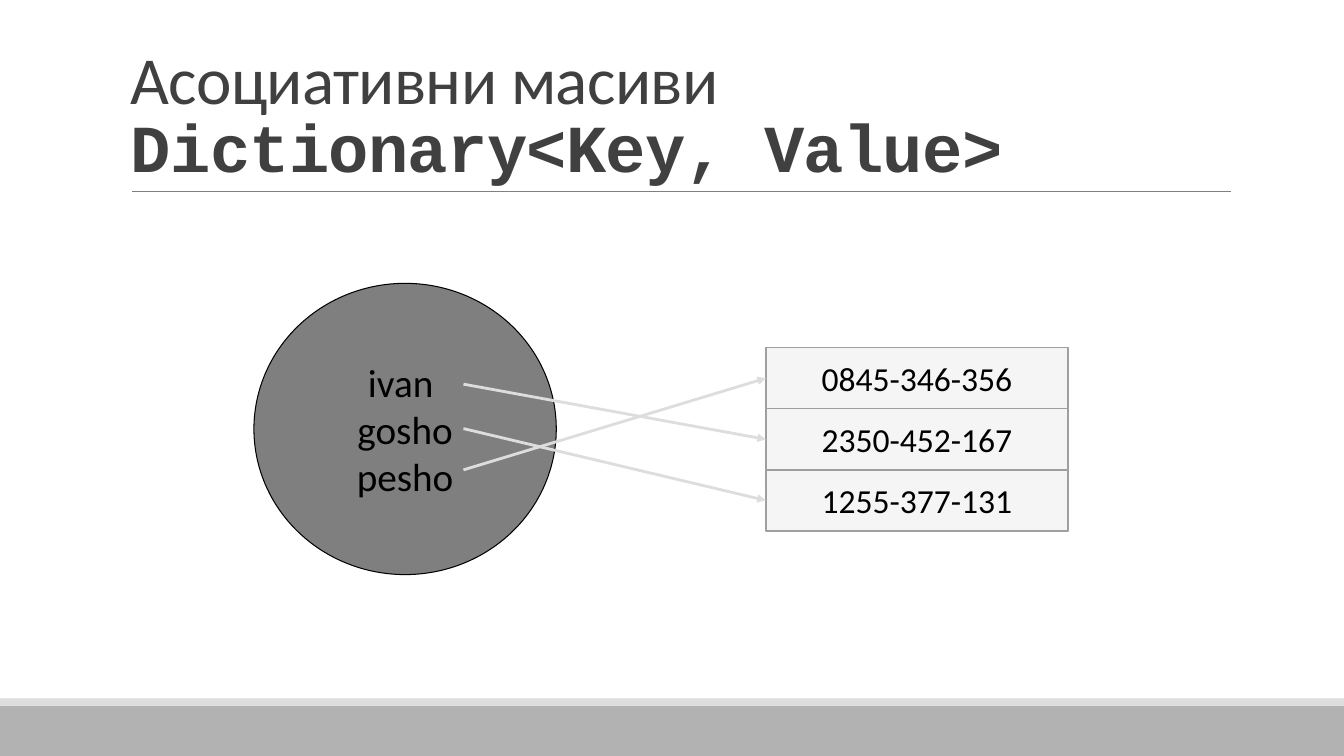
from lxml.etree import SubElement
from pptx import Presentation
from pptx.dml.color import RGBColor
from pptx.enum.shapes import MSO_CONNECTOR, MSO_SHAPE
from pptx.enum.text import MSO_ANCHOR, PP_ALIGN
from pptx.oxml.ns import qn
from pptx.util import Cm, Pt

BLACK = RGBColor(0x00, 0x00, 0x00)
TITLE_GREY = RGBColor(0x40, 0x40, 0x40)
RULE_GREY = RGBColor(0x80, 0x80, 0x80)
BORDER_GREY = RGBColor(0x9F, 0x9F, 0x9F)
FOOTER_GREY = RGBColor(0xB2, 0xB2, 0xB2)
CELL_GREY = RGBColor(0xBF, 0xBF, 0xBF)
LIGHT_GREY = RGBColor(0xDD, 0xDD, 0xDD)

presentation = Presentation()
presentation.slide_width = Cm(33.87)
presentation.slide_height = Cm(19.05)
slide = presentation.slides.add_slide(presentation.slide_layouts[6])


def add_filled_shape(kind, box, color, opacity=100, border=None, border_width=0):
    """Add a shape without shadow; box is left, top, width, height in cm."""
    shape = slide.shapes.add_shape(kind, *[Cm(length) for length in box])
    shape.shadow.inherit = False
    shape.fill.solid()
    shape.fill.fore_color.rgb = color
    if opacity < 100:
        color_element = shape._element.spPr.find(qn("a:solidFill"))[0]
        SubElement(color_element, qn("a:alpha"), val=str(opacity * 1000))
    if border is None:
        shape.line.fill.background()
    else:
        shape.line.color.rgb = border
        shape.line.width = Pt(border_width)
    return shape


def add_line(start, end, color, width):
    """Add a straight line without shadow between two points in cm."""
    line = slide.shapes.add_connector(
        MSO_CONNECTOR.STRAIGHT, *[Cm(length) for length in start + end])
    line.line.color.rgb = color
    line.line.width = Pt(width)
    SubElement(line._element.spPr, qn("a:effectLst"))
    return line


# Footer bands and the rule under the title
add_filled_shape(MSO_SHAPE.RECTANGLE, (0, 17.78, 33.87, 1.27), FOOTER_GREY)
add_filled_shape(MSO_SHAPE.RECTANGLE, (0, 17.6, 33.87, 0.18), LIGHT_GREY)
add_line((3.33, 4.83), (31.01, 4.83), RULE_GREY, 0.5)

# Title
title = slide.shapes.add_textbox(Cm(3.05), Cm(0.79), Cm(27.94), Cm(4.04))
title.text_frame.word_wrap = True
title.text_frame.vertical_anchor = MSO_ANCHOR.BOTTOM
paragraph = title.text_frame.paragraphs[0]
paragraph.line_spacing = 0.85
title_lines = [
    ("Асоциативни масиви", {"name": "Calibri", "bold": False}),
    ("Dictionary<Key, Value>", {"name": "Courier New", "bold": True}),
]
for index, (text, font_format) in enumerate(title_lines):
    if index:
        paragraph.add_line_break()
    run = paragraph.add_run()
    run.text = text
    run.font.size = Pt(48)
    run.font.color.rgb = TITLE_GREY
    for name, value in font_format.items():
        setattr(run.font, name, value)
    run._r.get_or_add_rPr().set("spc", "-50")

# Keys
keys_circle = add_filled_shape(
    MSO_SHAPE.OVAL, (6.4, 7.14, 7.62, 7.34), BLACK, 50, BLACK, 0.75)
keys_circle.text_frame.text = "ivan \ngosho\npesho"

# Values
ROW_HEIGHT = 1.54
value_boxes = []
for row, number in enumerate(["0845-346-356", "2350-452-167", "1255-377-131"]):
    value_box = add_filled_shape(
        MSO_SHAPE.RECTANGLE, (19.3, 8.76 + row * ROW_HEIGHT, 7.62, ROW_HEIGHT),
        CELL_GREY, 15, BORDER_GREY, 1)
    value_box.text_frame.text = number
    margins = {"margin_left": 0.5, "margin_right": 0.5,
               "margin_top": 0.25, "margin_bottom": 0.25}
    for name, value in margins.items():
        setattr(value_box.text_frame, name, Cm(value))
    value_boxes.append(value_box)

for shape, size in [(keys_circle, 28)] + [(box, 24) for box in value_boxes]:
    shape.text_frame.vertical_anchor = MSO_ANCHOR.MIDDLE
    for paragraph in shape.text_frame.paragraphs:
        paragraph.alignment = PP_ALIGN.CENTER
        font = paragraph.runs[0].font
        for name, value in {"name": "Calibri", "size": Pt(size)}.items():
            setattr(font, name, value)
        font.color.rgb = BLACK

# Arrows from each key to its value
for key_y, row in [(9.68, 1), (10.8, 2), (11.84, 0)]:
    arrow = add_line((11.68, key_y), (19.3, key_y), LIGHT_GREY, 2)
    arrow.end_connect(value_boxes[row], 1)
    SubElement(arrow.line._get_or_add_ln(), qn("a:tailEnd"), type="triangle")

presentation.save("out.pptx")
